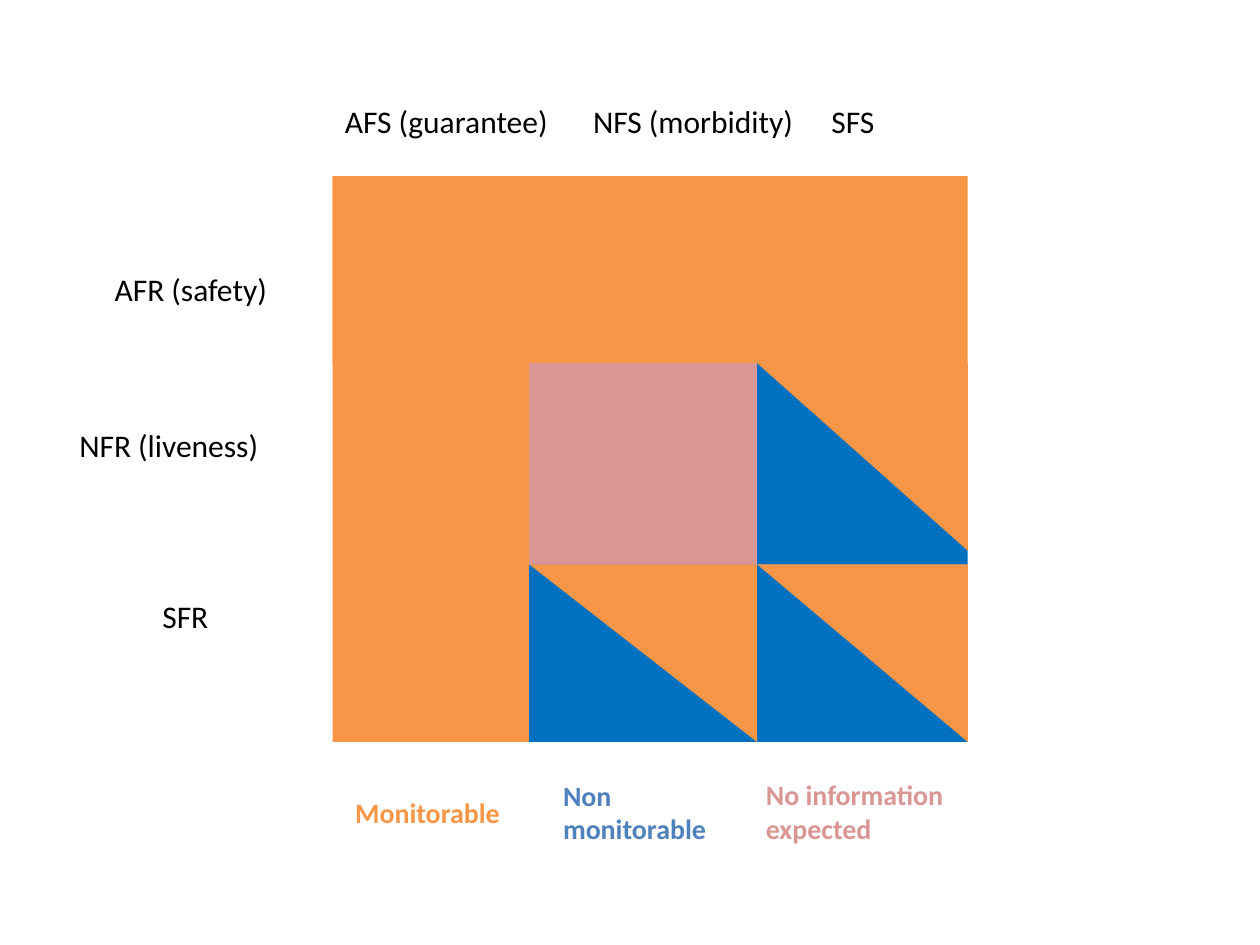
import pptx
import pptx.util
import pptx.dml.color
import pptx.enum.shapes

Pt = pptx.util.Pt
RGB = pptx.dml.color.RGBColor
SHAPE = pptx.enum.shapes.MSO_SHAPE

BLACK = RGB(0x00, 0x00, 0x00)
ORANGE = RGB(0xF7, 0x96, 0x46)
BLUE = RGB(0x00, 0x70, 0xC0)
LABEL_BLUE = RGB(0x4F, 0x81, 0xBD)
PINK = RGB(0xD9, 0x96, 0x94)


def add_label(s, x, y, w, h, text, size=18, color=BLACK, bold=False):
    tf = s.shapes.add_textbox(Pt(x), Pt(y), Pt(w), Pt(h)).text_frame
    tf.word_wrap = True
    tf.text = text
    for p in tf.paragraphs:
        for r in p.runs:
            r.font.name = "Calibri"
            r.font.size = Pt(size)
            r.font.bold = bold
            r.font.color.rgb = color


def add_block(s, kind, x, y, w, h, color, rotation=0):
    sp = s.shapes.add_shape(kind, Pt(x), Pt(y), Pt(w), Pt(h))
    sp.shadow.inherit = False
    sp.fill.solid()
    sp.fill.fore_color.rgb = color
    sp.line.fill.background()
    sp.rotation = rotation


def add_column_headers(s, x, y):
    for dx, w, text in [(0, 142, "AFS (guarantee)"),
                        (141.8, 132, "NFS (morbidity)"),
                        (278, 54, "SFS")]:
        add_label(s, x + dx, y, w, 29, text)


def add_row_headers(s, x, y):
    for dx, dy, w, text in [(20.2, 0, 110, "AFR (safety)"),
                            (0, 89.5, 132, "NFR (liveness)"),
                            (47.5, 187.2, 54, "SFR")]:
        add_label(s, x + dx, y + dy, w, 29, text)


def add_matrix(s, x, y):
    col1, col2, right = 112.4, 242.6, 363
    row1, row2, bottom = 106.8, 221.8, 323.3
    middle, last = col2 - col1, right - col2
    rect, triangle = SHAPE.RECTANGLE, SHAPE.RIGHT_TRIANGLE
    for kind, dx, dy, w, h, color, rotation in [
        (rect, 0, 0, right, row1, ORANGE, 0),
        (rect, 0, row1, col1, bottom - row1, ORANGE, 0),
        (rect, col1, row2, right - col1, bottom - row2, BLUE, 0),
        (rect, col2, row1, last, row2 - row1, BLUE, 0),
        (triangle, col2, row2, last, bottom - row2, ORANGE, 180),
        (triangle, col1, row2, middle, bottom - row2, ORANGE, 180),
        (triangle, col2, row1, last, 107.2, ORANGE, 180),
        (rect, col1, row1, middle, row2 - row1, PINK, 0),
    ]:
        add_block(s, kind, x + dx, y + dy, w, h, color, rotation)


def add_legend(s, x, y):
    for dx, dy, w, h, text, color in [
        (0, 10.4, 130, 27, "Monitorable", ORANGE),
        (118.8, 0.4, 130, 46, "Non\nmonitorable", LABEL_BLUE),
        (234.7, 0, 122, 46, "No information\nexpected", PINK),
    ]:
        add_label(s, x + dx, y + dy, w, h, text, 16, color, True)


prs = pptx.Presentation()
prs.slide_width, prs.slide_height = Pt(720), Pt(540)
s = prs.slides.add_slide(prs.slide_layouts[6])
add_row_headers(s, 38.2, 150.5)
add_column_headers(s, 190, 54.8)
add_matrix(s, 190, 100.7)
add_legend(s, 195.9, 440.8)
prs.save("out.pptx")
